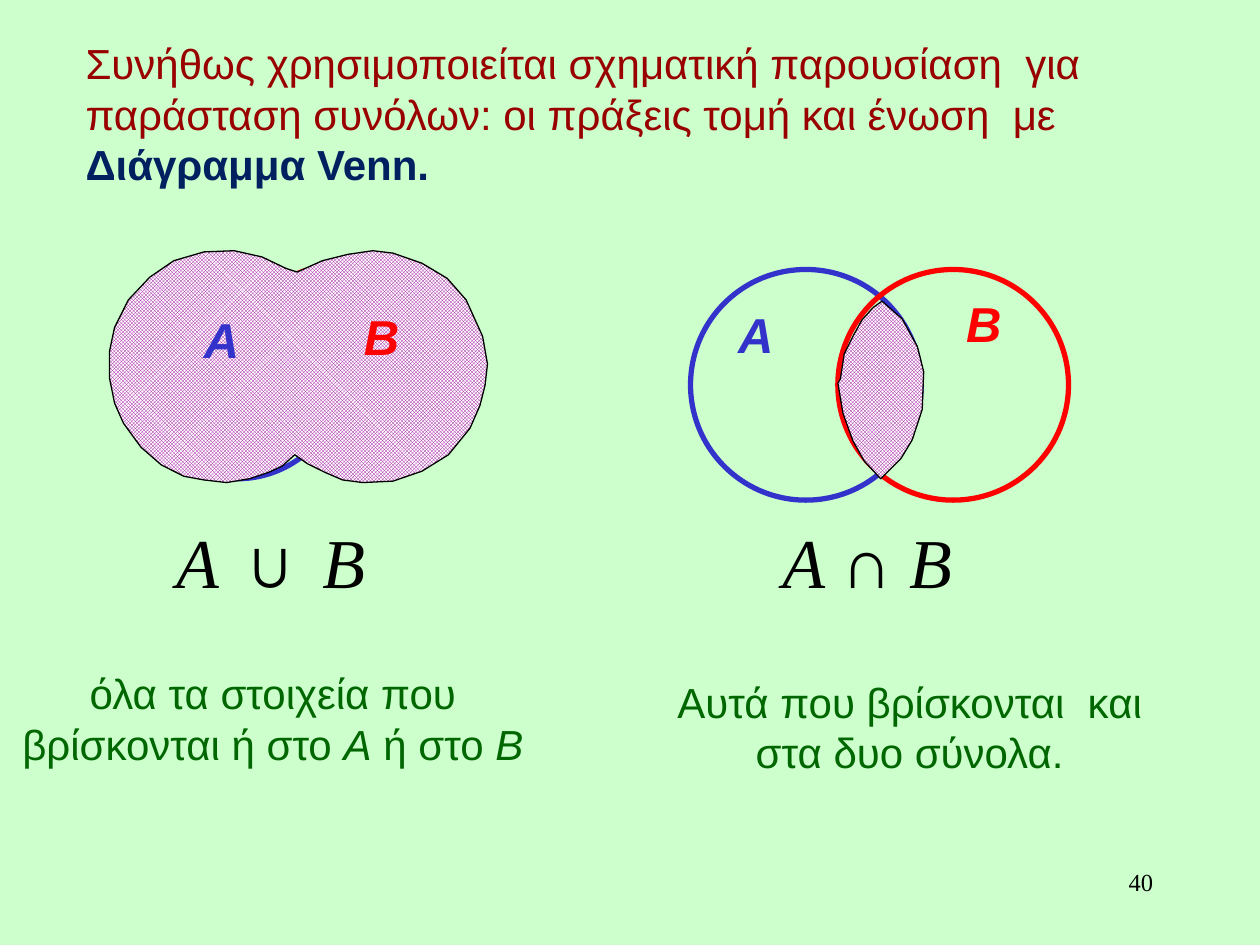
from dataclasses import dataclass
from typing import NamedTuple, Optional

from pptx import Presentation
from pptx.dml.color import RGBColor
from pptx.enum.dml import MSO_PATTERN
from pptx.enum.shapes import MSO_SHAPE
from pptx.enum.text import PP_ALIGN
from pptx.slide import Slide
from pptx.util import Pt

COLORS = {
    "background": "CCFFCC",
    "intro": "990000",
    "term": "002060",
    "set_a": "3333CC",
    "set_b": "FF0000",
    "caption": "006600",
    "hatch": "990099",
    "paper": "FFFFFF",
    "ink": "000000",
}

Points = list[tuple[float, float]]


class Run(NamedTuple):
    text: str
    bold: Optional[bool] = None
    italic: Optional[bool] = None
    color: Optional[str] = None


class Circle(NamedTuple):
    left: float
    top: float
    width: float
    height: float
    color: str


@dataclass
class Text:
    left: float
    top: float
    width: float
    height: float
    runs: list[Run]
    size: float
    color: str
    font: str = "Arial"
    bold: Optional[bool] = None
    italic: Optional[bool] = None
    align: PP_ALIGN = PP_ALIGN.LEFT


def rgb(name: str) -> RGBColor:
    return RGBColor.from_string(COLORS[name])


def draw_text(slide: Slide, item: Text) -> None:
    box = slide.shapes.add_textbox(Pt(item.left), Pt(item.top), Pt(item.width), Pt(item.height))
    box.text_frame.word_wrap = True
    paragraph = box.text_frame.paragraphs[0]
    paragraph.alignment = item.align
    paragraph.font.name = item.font
    paragraph.font.size = Pt(item.size)
    paragraph.font.bold = item.bold
    paragraph.font.italic = item.italic
    paragraph.font.color.rgb = rgb(item.color)
    for part in item.runs:
        run = paragraph.add_run()
        run.text = part.text
        if part.bold is not None:
            run.font.bold = part.bold
        if part.italic is not None:
            run.font.italic = part.italic
        if part.color:
            run.font.color.rgb = rgb(part.color)


def draw_circle(slide: Slide, item: Circle) -> None:
    circle = slide.shapes.add_shape(
        MSO_SHAPE.OVAL, Pt(item.left), Pt(item.top), Pt(item.width), Pt(item.height))
    circle.shadow.inherit = False
    circle.fill.background()
    circle.line.color.rgb = rgb(item.color)
    circle.line.width = Pt(3)


def draw_region(slide: Slide, outline: Points) -> None:
    start, *rest = [(Pt(x), Pt(y)) for x, y in outline]
    builder = slide.shapes.build_freeform(*start)
    builder.add_line_segments(rest, close=True)
    region = builder.convert_to_shape()
    region.shadow.inherit = False
    region.fill.patterned()
    region.fill.pattern = MSO_PATTERN.SMALL_CHECKER_BOARD
    region.fill.fore_color.rgb = rgb("hatch")
    region.fill.back_color.rgb = rgb("paper")
    region.line.color.rgb = rgb("ink")
    region.line.width = Pt(0.75)


def set_label(name: str, left: float, top: float) -> Text:
    return Text(left, top, 36, 41, [Run(name)], 28, f"set_{name.lower()}", bold=True, italic=True)


def formula(operator: str, left: float, width: float) -> Text:
    runs = [Run("A ", italic=True), Run(f"{operator} "), Run("B", italic=True)]
    return Text(left, 293, width, 55.4, runs, 40, "ink", "Times New Roman")


def caption(left: float, top: float, width: float, runs: list[Run]) -> Text:
    return Text(left, top, width, 65.5, runs, 24, "caption", align=PP_ALIGN.CENTER)


CIRCLES = [
    # Union
    Circle(74.2, 150.5, 122.4, 123.1, "set_a"),
    Circle(133.9, 150.5, 131.8, 108, "set_b"),
    # Intersection
    Circle(394.6, 154, 131.8, 131.8, "set_a"),
    Circle(478.8, 154, 131.8, 131.8, "set_b"),
]

INTERSECTION: Points = [
    (504, 172.1), (515.5, 182.2), (524.2, 198), (527.8, 212.4), (527, 234),
    (521.3, 251.3), (514.8, 262.1), (503.3, 273.6), (493.9, 263.5), (487.4, 252),
    (481.7, 236.2), (478.8, 218.9), (480.2, 216.7), (482.4, 202.3), (487.4, 192.2),
    (492.5, 182.9), (499, 175.7),
]

UNION: Points = [
    (169.9, 155.5), (184.3, 149), (198.7, 145.4), (213.1, 143.3), (224.6, 144.7),
    (241.2, 150.5), (255.6, 159.1), (266.4, 171.4), (275.8, 192.2), (278.6, 208.1),
    (277.2, 220.3), (274.3, 231.8), (268.6, 244.8), (256.3, 259.9), (241.2, 269.3),
    (224.6, 275), (207.4, 275.8), (195.8, 274.3), (185.8, 270), (175.7, 265),
    (168.5, 259.9), (161.3, 266.4), (153.4, 270), (142.6, 273.6), (129.6, 275.8),
    (116.6, 274.3), (105.1, 272.2), (92.2, 265.7), (80.6, 255.6), (70.6, 241.9),
    (65.5, 230.4), (62.6, 216), (62.6, 200.9), (65.5, 187.2), (73.4, 171.4),
    (85.7, 158.4), (99.4, 149), (116.6, 144), (133.9, 143.3), (149.8, 146.9),
    (163.4, 153.4),
]

TEXTS = [
    # Introduction
    Text(41.8, 18, 652.3, 94.3, [
        Run("Συνήθως χρησιμοποιείται σχηματική παρουσίαση  για παράσταση συνόλων: "
            "οι πράξεις τομή και ένωση  με "),
        Run("Διάγραμμα Venn.", bold=True, color="term"),
    ], 24, "intro"),
    # Union
    set_label("A", 109.4, 173.5),
    set_label("B", 200.9, 171.4),
    formula("∪", 93.6, 124.6),
    caption(0, 378, 311.8, [
        Run("όλα τα στοιχεία που βρίσκονται ή στο "), Run("Α", italic=True),
        Run(" ή στο "), Run("Β", italic=True),
    ]),
    # Intersection
    set_label("A", 414.7, 170.6),
    set_label("B", 545, 164.2),
    formula("∩", 440, 144),
    caption(370.8, 383, 298, [Run("Αυτά που βρίσκονται  και στα δυο σύνολα.")]),
    # Slide number
    Text(516.2, 491.8, 149.8, 36, [Run("40")], 14, "ink", "Times New Roman",
         align=PP_ALIGN.RIGHT),
]


def main() -> None:
    deck = Presentation()
    deck.slide_width, deck.slide_height = Pt(720), Pt(540)
    slide = deck.slides.add_slide(deck.slide_layouts[6])
    slide.background.fill.solid()
    slide.background.fill.fore_color.rgb = rgb("background")

    for circle in CIRCLES:
        draw_circle(slide, circle)
    for outline in (INTERSECTION, UNION):
        draw_region(slide, outline)
    for text in TEXTS:
        draw_text(slide, text)

    deck.save("out.pptx")


if __name__ == "__main__":
    main()
